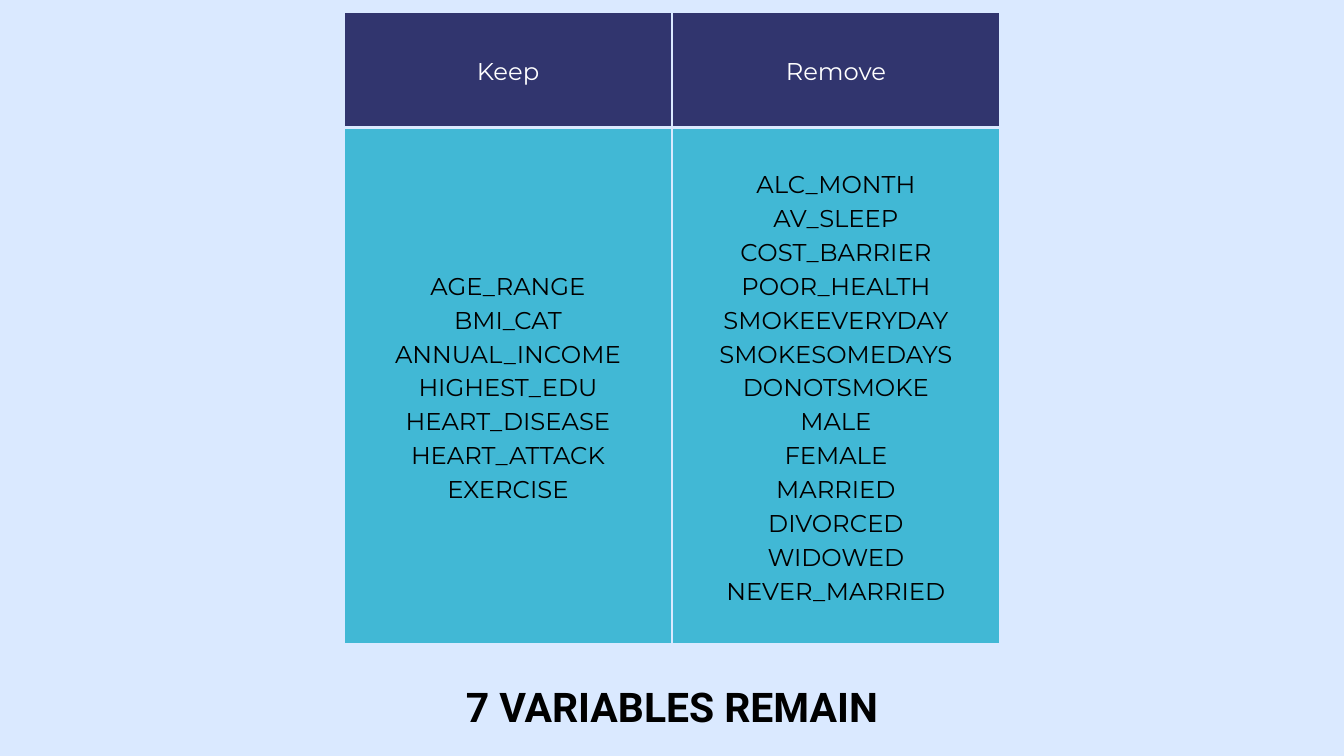
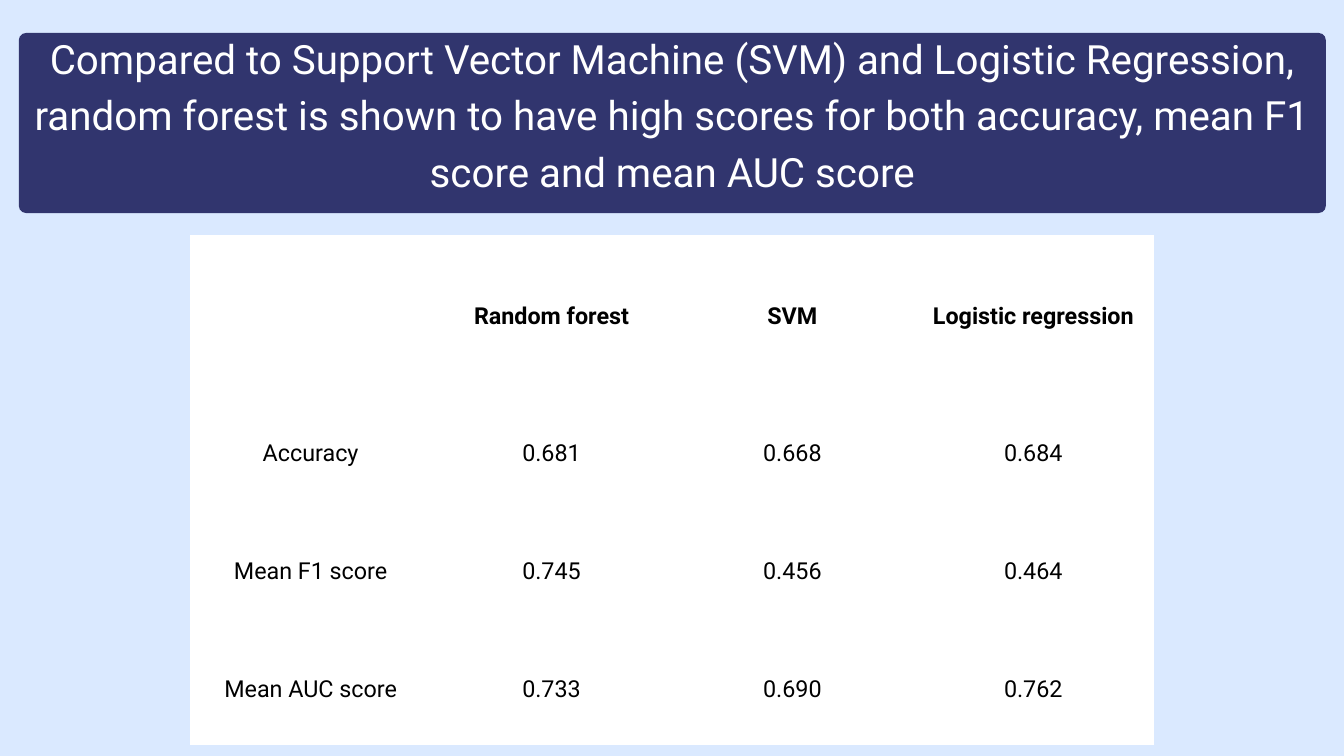
from dataclasses import dataclass
from typing import Any

from lxml.etree import SubElement
from pptx import Presentation
from pptx.dml.color import RGBColor
from pptx.enum.shapes import MSO_SHAPE as Preset
from pptx.enum.text import MSO_ANCHOR as Anchor
from pptx.enum.text import MSO_AUTO_SIZE as AutoSize
from pptx.enum.text import PP_ALIGN as Align
from pptx.oxml.ns import qn
from pptx.util import Inches, Pt

COLOURS = {
    "page": "DAE9FF",
    "navy": "31356E",
    "teal": "41B8D5",
    "white": "FFFFFF",
    "black": "000000",
}
TITLE_ONLY = 5
CELL_INSET = 0.21
SIDES = ("left", "top", "right", "bottom")


@dataclass(frozen=True)
class TextStyle:
    font: str
    size: float
    leading: float
    colour: str = "black"
    bold: bool = False


@dataclass(frozen=True)
class RowStyle:
    height: float
    fill: str
    text: TextStyle


@dataclass(frozen=True)
class Grid:
    left: float
    top: float
    column_width: float
    border: float
    row_styles: list[RowStyle]
    rows: list[list[str]]


VARIABLE_HEAD = TextStyle("Montserrat", 26, 36.4, "white")
VARIABLE_TEXT = TextStyle("Montserrat", 26, 36.4)
SCORE_HEAD = TextStyle("Roboto", 25, 35, bold=True)
SCORE_TEXT = TextStyle("Roboto", 25, 35)
REMAIN_TITLE = TextStyle("Roboto", 43.8, 61.3, bold=True)
BAND_TITLE = TextStyle("Roboto", 43.2, 60.5, "white")

KEPT = [
    "AGE_RANGE", "BMI_CAT", "ANNUAL_INCOME", "HIGHEST_EDU",
    "HEART_DISEASE", "HEART_ATTACK", "EXERCISE",
]
REMOVED = [
    "ALC_MONTH", "AV_SLEEP", "COST_BARRIER", "POOR_HEALTH",
    "SMOKEEVERYDAY", "SMOKESOMEDAYS", "DONOTSMOKE", "MALE", "FEMALE",
    "MARRIED", "DIVORCED", "WIDOWED", "NEVER_MARRIED",
]
VARIABLES = Grid(
    5.12, 0.17, 4.88, 3,
    [RowStyle(1.73, "navy", VARIABLE_HEAD), RowStyle(7.69, "teal", VARIABLE_TEXT)],
    [["Keep", "Remove"], ["\n".join(KEPT), "\n".join(REMOVED)]],
)
SCORES = Grid(
    2.83, 3.5, 3.585, 0,
    [RowStyle(2.34, "white", SCORE_HEAD)] + [RowStyle(1.75, "white", SCORE_TEXT)] * 3,
    [
        ["", "Random forest", "SVM", "Logistic regression"],
        ["Accuracy", "0.681", "0.668", "0.684"],
        ["Mean F1 score", "0.745", "0.456", "0.464"],
        ["Mean AUC score", "0.733", "0.690", "0.762"],
    ],
)


def rgb(name: str) -> RGBColor:
    return RGBColor.from_string(COLOURS[name])


def apply(target: Any, values: dict[str, Any]) -> None:
    for name, value in values.items():
        setattr(target, name, value)


def place(shape: Any, left: float, top: float, width: float, height: float) -> None:
    box = {"left": left, "top": top, "width": width, "height": height}
    apply(shape, {name: Inches(value) for name, value in box.items()})


def margins(inset: float) -> dict[str, Any]:
    return {f"margin_{side}": Inches(inset) for side in SIDES}


def paint(shape: Any, colour: str) -> None:
    shape.fill.solid()
    shape.fill.fore_color.rgb = rgb(colour)


def write(frame: Any, text: str, style: TextStyle) -> None:
    """Fill the frame with one centred paragraph for each line of text."""
    frame.text = text
    for para in frame.paragraphs:
        apply(para, {
            "alignment": Align.CENTER,
            "line_spacing": Pt(style.leading),
            "space_before": Pt(0),
        })
        for span in para.runs:
            apply(span.font, {
                "name": style.font, "size": Pt(style.size), "bold": style.bold,
            })
            span.font.color.rgb = rgb(style.colour)


def add_page(deck: Any, title: str, style: TextStyle,
             box: tuple[float, float, float, float],
             anchor: Anchor, inset: float) -> Any:
    page = deck.slides.add_slide(deck.slide_layouts[TITLE_ONLY])
    heading = page.shapes.title
    place(heading, *box)
    write(heading.text_frame, title, style)
    apply(heading.text_frame, {
        "auto_size": AutoSize.NONE,
        "word_wrap": True,
        "vertical_anchor": anchor,
        **margins(inset),
    })
    return page


def set_borders(cell: Any, width: float) -> None:
    """Line all four sides in the page colour, or clear them at width 0."""
    properties = cell._tc.get_or_add_tcPr()
    for side in ("lnL", "lnR", "lnT", "lnB"):
        line = SubElement(properties, qn(f"a:{side}"), w=str(Pt(width)))
        if width:
            fill = SubElement(line, qn("a:solidFill"))
            SubElement(fill, qn("a:srgbClr"), val=COLOURS["page"])
        else:
            SubElement(line, qn("a:noFill"))


def add_grid(page: Any, grid: Grid) -> None:
    columns = len(grid.rows[0])
    height = sum(style.height for style in grid.row_styles)
    table = page.shapes.add_table(
        len(grid.rows), columns, Inches(grid.left), Inches(grid.top),
        Inches(grid.column_width * columns), Inches(height),
    ).table
    table.horz_banding = False
    for row, style, texts in zip(table.rows, grid.row_styles, grid.rows):
        row.height = Inches(style.height)
        for cell, text in zip(row.cells, texts):
            set_borders(cell, grid.border)
            paint(cell, style.fill)
            write(cell.text_frame, text, style.text)
            apply(cell, {"vertical_anchor": Anchor.MIDDLE, **margins(CELL_INSET)})


def add_title_band(page: Any) -> None:
    """Put the rounded band behind the title."""
    band = page.shapes.add_shape(
        Preset.ROUNDED_RECTANGLE,
        Inches(0.28), Inches(0.49), Inches(19.45), Inches(2.68),
    )
    band.adjustments[0] = 0.04
    band.shadow.inherit = False
    paint(band, "navy")
    band.line.fill.background()
    page.shapes.title.element.addprevious(band.element)


def main() -> None:
    deck = Presentation()
    apply(deck, {"slide_width": Inches(20), "slide_height": Inches(11.25)})
    paint(deck.slide_master.background, "page")

    variables_page = add_page(
        deck, "7 VARIABLES REMAIN", REMAIN_TITLE,
        (6.79, 10.02, 6.42, 0.83), Anchor.TOP, 0,
    )
    add_grid(variables_page, VARIABLES)

    scores_page = add_page(
        deck,
        "Compared to Support Vector Machine (SVM) and Logistic Regression, "
        "random forest is shown to have high scores for both accuracy, "
        "mean F1 score and mean AUC score",
        BAND_TITLE, (0.28, 0.12, 19.45, 3.05), Anchor.MIDDLE, 0.06,
    )
    add_title_band(scores_page)
    add_grid(scores_page, SCORES)

    deck.save("out.pptx")


if __name__ == "__main__":
    main()
